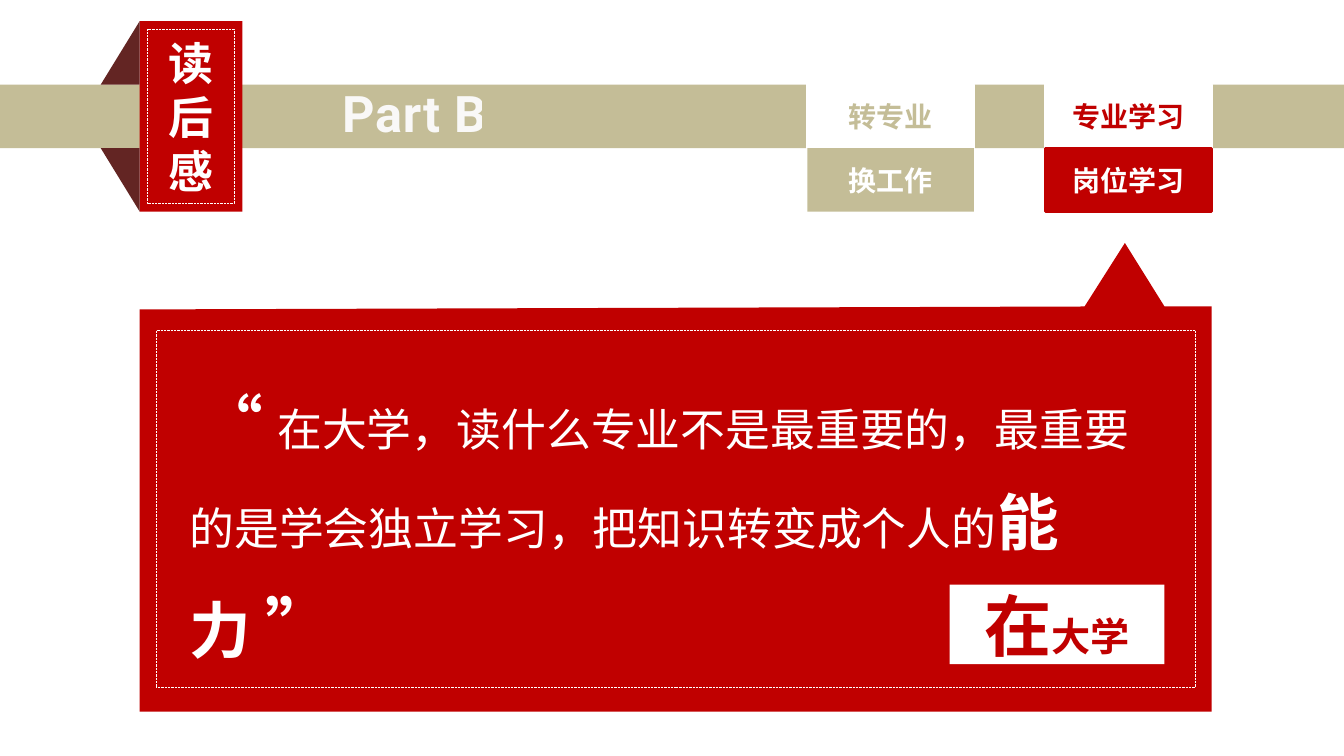
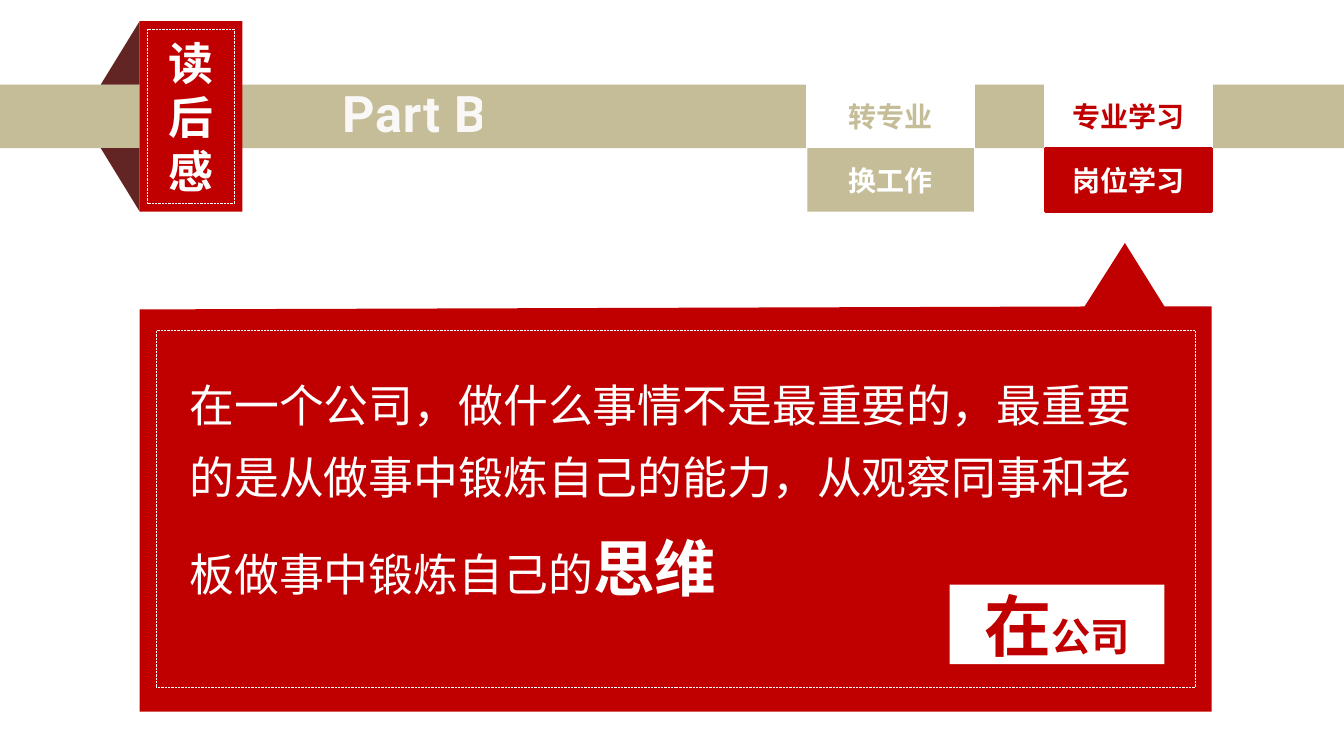
from dataclasses import dataclass

from lxml.etree import SubElement
from pptx import Presentation
from pptx.dml.color import RGBColor
from pptx.enum.dml import MSO_LINE
from pptx.enum.lang import MSO_LANGUAGE_ID
from pptx.enum.shapes import MSO_SHAPE
from pptx.enum.text import MSO_ANCHOR, MSO_AUTO_SIZE, PP_ALIGN
from pptx.oxml.ns import qn
from pptx.util import Inches, Pt


@dataclass(frozen=True)
class Theme:
    red: str = "C00000"
    dark_red: str = "632523"
    sand: str = "C4BD97"
    white: str = "FFFFFF"
    title_color: str = "FCFCFD"
    title_outline: str = "101A26"
    text_font: str = "Arial"
    quote_font: str = "Cambria"
    title_font: str = "Roboto"
    tab_size: int = 20
    label_size: int = 28
    body_size: int = 32
    title_size: int = 36
    strong_size: int = 44
    initial_size: int = 48


THEME = Theme()
SLIDE_WIDTH, SLIDE_HEIGHT = Inches(13.33), Inches(7.5)
COLUMN = SLIDE_WIDTH / 100
ROW = Inches(0.21)

BAND_TOP, BAND_ROWS = 4, 3
CARD_LEFT, CARD_RIGHT = 10.4, 90.15
CARD_TOP, CARD_BOTTOM = 14.62, 33.62
TAB_LEFT, TAB_WIDTH, TAB_STEP = 60.08, 12.38, 17.7


@dataclass(frozen=True)
class Piece:
    text: str
    size: int = THEME.body_size
    color: str = THEME.white
    font: str = THEME.text_font
    bold: bool = True


class Deck:
    def __init__(self, theme):
        self.theme = theme
        self.presentation = Presentation()
        self.presentation.slide_width = SLIDE_WIDTH
        self.presentation.slide_height = SLIDE_HEIGHT
        self.slide = None

    def new_slide(self):
        layout = self.presentation.slide_layouts[1]
        self.slide = self.presentation.slides.add_slide(layout)

    def add_pieces(self, paragraph, pieces):
        for piece in pieces:
            run = paragraph.add_run()
            run.text = piece.text
            run.font.size = Pt(piece.size)
            run.font.name = piece.font
            run.font.bold = piece.bold
            run.font.color.rgb = RGBColor.from_string(piece.color)
            run.font.language_id = MSO_LANGUAGE_ID.SIMPLIFIED_CHINESE

    def paint(self, shape, fill=None, line=None, weight=2):
        shape.shadow.inherit = False
        if fill:
            shape.fill.solid()
            shape.fill.fore_color.rgb = RGBColor.from_string(fill)
        else:
            shape.fill.background()
        if line:
            shape.line.color.rgb = RGBColor.from_string(line)
            shape.line.width = Pt(weight)
        else:
            shape.line.fill.background()

    def box(self, left, top, width, height, fill=None, line=None, weight=2,
            lines=(), preset=MSO_SHAPE.RECTANGLE):
        shape = self.slide.shapes.add_shape(
            preset, *self.place(left, top, width, height))
        self.paint(shape, fill, line, weight)
        frame = shape.text_frame
        frame.vertical_anchor = MSO_ANCHOR.MIDDLE
        for index, pieces in enumerate(lines):
            paragraph = frame.add_paragraph() if index else frame.paragraphs[0]
            paragraph.alignment = PP_ALIGN.CENTER
            self.add_pieces(paragraph, pieces)
        return shape

    def place(self, left, top, width, height):
        return (round(left * COLUMN), round(top * ROW),
                round(width * COLUMN), round(height * ROW))

    def dotted_frame(self, left, top, width, height):
        shape = self.box(left, top, width, height, line=self.theme.white, weight=0.5)
        shape.line.dash_style = MSO_LINE.ROUND_DOT

    def fold(self, top, flips):
        triangle = self.box(7.5, top, CARD_LEFT - 7.5, BAND_ROWS,
                            self.theme.dark_red, preset=MSO_SHAPE.RIGHT_TRIANGLE)
        for flip in flips:
            triangle._element.spPr.xfrm.set(flip, "1")

    def ribbon(self, letters):
        self.box(CARD_LEFT, 1, 7.65, 3 * BAND_ROWS, self.theme.red,
                 lines=[[Piece(letter)] for letter in letters])
        self.fold(1, ["flipH"])
        self.fold(BAND_TOP + BAND_ROWS, ["flipH", "flipV"])
        self.dotted_frame(CARD_LEFT + 0.6, 1.38, 6.45, 8.24)

    def tab(self, index, upper, lower, color, line=None):
        left = TAB_LEFT + index * TAB_STEP
        white, size = self.theme.white, self.theme.tab_size
        self.box(left, BAND_TOP, TAB_WIDTH, BAND_ROWS, white, white,
                 lines=[[Piece(upper, size, color)]])
        self.box(left, BAND_TOP + BAND_ROWS, TAB_WIDTH, BAND_ROWS, color, line,
                 lines=[[Piece(lower, size)]])

    def card(self):
        shoulder = 14.48
        corners = [(CARD_LEFT, CARD_TOP), (80.7, shoulder), (83.7, 11.48),
                   (86.65, shoulder), (CARD_RIGHT, shoulder),
                   (CARD_RIGHT, CARD_BOTTOM), (CARD_LEFT, CARD_BOTTOM)]
        points = [(round(x * COLUMN), round(y * ROW)) for x, y in corners]
        builder = self.slide.shapes.build_freeform(*points[0])
        builder.add_line_segments(points[1:], close=True)
        self.paint(builder.convert_to_shape(), self.theme.red)
        self.dotted_frame(CARD_LEFT + 1.2, CARD_TOP + 1,
                          CARD_RIGHT - CARD_LEFT - 2.4,
                          CARD_BOTTOM - CARD_TOP - 2.14)

    def placeholder(self, index, *area):
        shape = self.slide.placeholders[index]
        shape.left, shape.top, shape.width, shape.height = self.place(*area)
        self.slide.shapes._spTree.append(shape._element)
        frame = shape.text_frame
        frame.word_wrap = True
        frame.vertical_anchor = MSO_ANCHOR.TOP
        frame.auto_size = MSO_AUTO_SIZE.NONE
        return frame.paragraphs[0]

    def title(self, text):
        theme = self.theme
        paragraph = self.placeholder(0, 20.48, 3.62, 20.7, 3.38)
        paragraph.alignment = PP_ALIGN.CENTER
        self.add_pieces(paragraph, [Piece(text, theme.title_size, theme.title_color,
                                          theme.title_font)])
        properties = paragraph.runs[0].font._element
        properties.set("spc", "50")
        fill = properties.find(qn("a:solidFill"))
        SubElement(fill[0], qn("a:alpha"), val="95000")
        outline = SubElement(properties, qn("a:ln"), w="13462")
        properties.insert(0, outline)
        outline_fill = SubElement(outline, qn("a:solidFill"))
        color = SubElement(outline_fill, qn("a:srgbClr"), val=theme.title_outline)
        SubElement(color, qn("a:alpha"), val="6000")

    def body(self, pieces, indent):
        paragraph = self.placeholder(1, 13.35, 16.71, 73.8, 14.62)
        properties = paragraph._element.get_or_add_pPr()
        properties.set("marL", "0")
        properties.set("indent", str(Inches(indent)))
        SubElement(properties, qn("a:buNone"))
        paragraph.line_spacing = 1.35
        paragraph.space_before = Pt(0)
        self.add_pieces(paragraph, pieces)

    def place_label(self, initial, rest):
        theme = self.theme
        self.box(70.65, 27.62, 15.98, 3.76, theme.white, lines=[[
            Piece(initial, theme.initial_size, theme.red),
            Piece(rest, theme.label_size, theme.red)]])

    def lesson(self, pieces, place, indent=0):
        theme = self.theme
        self.new_slide()
        self.box(0, BAND_TOP, 100, BAND_ROWS, theme.sand)
        self.ribbon("读后感")
        self.tab(0, "转专业", "换工作", theme.sand)
        self.tab(1, "专业学习", "岗位学习", theme.red, theme.red)
        self.card()
        self.body(pieces, indent)
        self.title("Part B")
        self.place_label("在", place)


def main():
    deck = Deck(THEME)
    strong = THEME.strong_size
    deck.lesson([
        Piece("“ ", strong, font=THEME.quote_font),
        Piece("在大学，读什么专业不是最重要的，最重要的是学会独立学习，把知识转变成个人的",
              bold=False),
        Piece("能力 ", strong),
        Piece("”", THEME.initial_size, font=THEME.quote_font),
    ], "大学", indent=0.12)
    deck.lesson([
        Piece("在一个公司，做什么事情不是最重要的，最重要的是从做事中锻炼自己的能力，"
              "从观察同事和老板做事中锻炼自己的", bold=False),
        Piece("思维", strong),
    ], "公司")
    deck.presentation.save("out.pptx")


if __name__ == "__main__":
    main()
